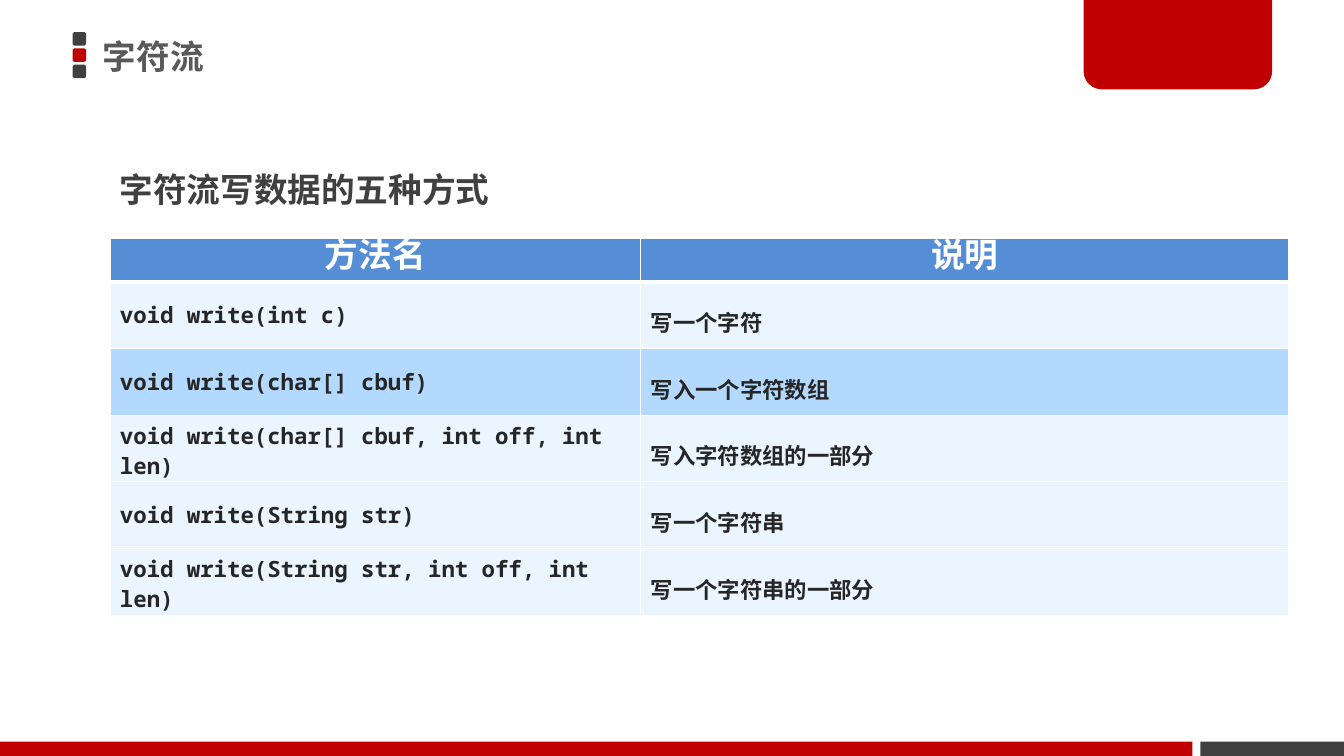
"""Build the slide on the five ways of writing data to a character stream."""
from dataclasses import dataclass

from lxml.etree import SubElement
from pptx import Presentation
from pptx.dml.color import RGBColor
from pptx.enum.shapes import MSO_SHAPE
from pptx.enum.text import MSO_ANCHOR, PP_ALIGN
from pptx.oxml.ns import qn
from pptx.util import Cm, Pt


@dataclass(frozen=True)
class Theme:
    red: str = "C00000"
    dark: str = "404040"
    title: str = "595959"
    code: str = "262626"
    white: str = "FFFFFF"
    header: str = "558ED5"
    pale: str = "EBF5FF"
    accent: str = "B3D9FF"
    sans: str = "Noto Sans CJK JP"
    mono: str = "Noto Sans Mono"
    heading_size: int = 24
    body_size: int = 16


class SlideBuilder:
    def __init__(self, slide, theme):
        self.slide = slide
        self.theme = theme

    def block(self, preset, left, top, width, height, color, adjustments=()):
        shape = self.slide.shapes.add_shape(preset, Cm(left), Cm(top), Cm(width), Cm(height))
        shape.shadow.inherit = False
        shape.fill.solid()
        shape.fill.fore_color.rgb = RGBColor.from_string(color)
        shape.line.fill.background()
        for index, value in enumerate(adjustments):
            shape.adjustments[index] = value

    def set_text(self, frame, words, size, color, typeface, align=PP_ALIGN.LEFT, spacing=1.0):
        frame.text = words
        paragraph = frame.paragraphs[0]
        paragraph.alignment = align
        paragraph.line_spacing = spacing
        font = paragraph.font
        font.size = Pt(size)
        font.bold = True
        font.name = typeface
        font.color.rgb = RGBColor.from_string(color)
        properties = paragraph._p.pPr.find(qn("a:defRPr"))
        SubElement(properties, qn("a:ea")).set("typeface", typeface)

    def title(self, words, left, top, width, height):
        title = self.slide.shapes.title
        title.left, title.top, title.width, title.height = map(Cm, (left, top, width, height))
        title.text_frame.vertical_anchor = MSO_ANCHOR.MIDDLE
        self.set_text(title.text_frame, words, self.theme.heading_size, self.theme.title,
                      self.theme.sans)

    def subtitle(self, words, left, top, width, height):
        subtitle = self.slide.shapes.add_textbox(Cm(left), Cm(top), Cm(width), Cm(height))
        subtitle.text_frame.word_wrap = True
        self.set_text(subtitle.text_frame, words, self.theme.heading_size, self.theme.dark,
                      self.theme.sans, spacing=1.5)

    def border(self, cell, side, points):
        line = SubElement(cell._tc.get_or_add_tcPr(), qn(f"a:{side}"), w=str(Pt(points)))
        fill = SubElement(line, qn("a:solidFill"))
        SubElement(fill, qn("a:srgbClr"), val=self.theme.white)

    def paint_cell(self, cell, color, top_border, bottom_border):
        for side, points in (("lnL", 1), ("lnR", 1), ("lnT", top_border), ("lnB", bottom_border)):
            self.border(cell, side, points)
        cell.fill.solid()
        cell.fill.fore_color.rgb = RGBColor.from_string(color)

    def table(self, headings, methods, highlighted, left, top, widths, header_height, row_height):
        theme = self.theme
        height = header_height + row_height * len(methods)
        table = self.slide.shapes.add_table(
            len(methods) + 1, len(headings), Cm(left), Cm(top), Cm(sum(widths)), Cm(height)).table
        for column, width in zip(table.columns, widths):
            column.width = Cm(width)
        for cell, heading in zip(table.rows[0].cells, headings):
            self.set_text(cell.text_frame, heading, theme.heading_size, theme.white, theme.sans,
                          PP_ALIGN.CENTER, Pt(theme.heading_size))
            self.paint_cell(cell, theme.header, 1, 3)
        table.rows[0].height = Cm(header_height)
        for number, method in enumerate(methods, 1):
            row = table.rows[number]
            row.height = Cm(row_height)
            color = theme.accent if number == highlighted else theme.pale
            for cell, words, spacing in zip(row.cells, method, (1.0, 1.5)):
                cell.vertical_anchor = MSO_ANCHOR.MIDDLE
                self.set_text(cell.text_frame, words, theme.body_size, theme.code, theme.mono,
                              spacing=spacing)
                self.paint_cell(cell, color, 3 if number == 1 else 1, 1)


METHODS = (
    ("void write(int c)", "写一个字符"),
    ("void write(char[] cbuf)", "写入一个字符数组"),
    ("void write(char[] cbuf, int off, int len)", "写入字符数组的一部分"),
    ("void write(String str)", "写一个字符串"),
    ("void write(String str, int off, int len)", "写一个字符串的一部分"),
)

presentation = Presentation()
presentation.slide_width, presentation.slide_height = Cm(33.87), Cm(19.05)
theme = Theme()
builder = SlideBuilder(presentation.slides.add_slide(presentation.slide_layouts[5]), theme)

for position, color in enumerate((theme.dark, theme.red, theme.dark)):
    builder.block(MSO_SHAPE.ROUNDED_RECTANGLE, 1.83, 0.81 + 0.41 * position, 0.34, 0.34, color, (0.167,))
builder.block(MSO_SHAPE.ROUND_2_SAME_RECTANGLE, 27.31, 0, 4.75, 2.25, theme.red, (0, 0.2))
builder.block(MSO_SHAPE.RECTANGLE, 0, 18.69, 30.05, 0.36, theme.red)
builder.block(MSO_SHAPE.RECTANGLE, 30.25, 18.69, 3.62, 0.36, theme.dark)

builder.title("字符流", 2.34, -0.08, 19.94, 3)
builder.subtitle("字符流写数据的五种方式", 2.77, 3.63, 26.29, 1.65)
builder.table(("方法名", "说明"), METHODS, 2, 2.77, 6, (13.38, 16.33), 1.04, 1.68)

presentation.save("out.pptx")
